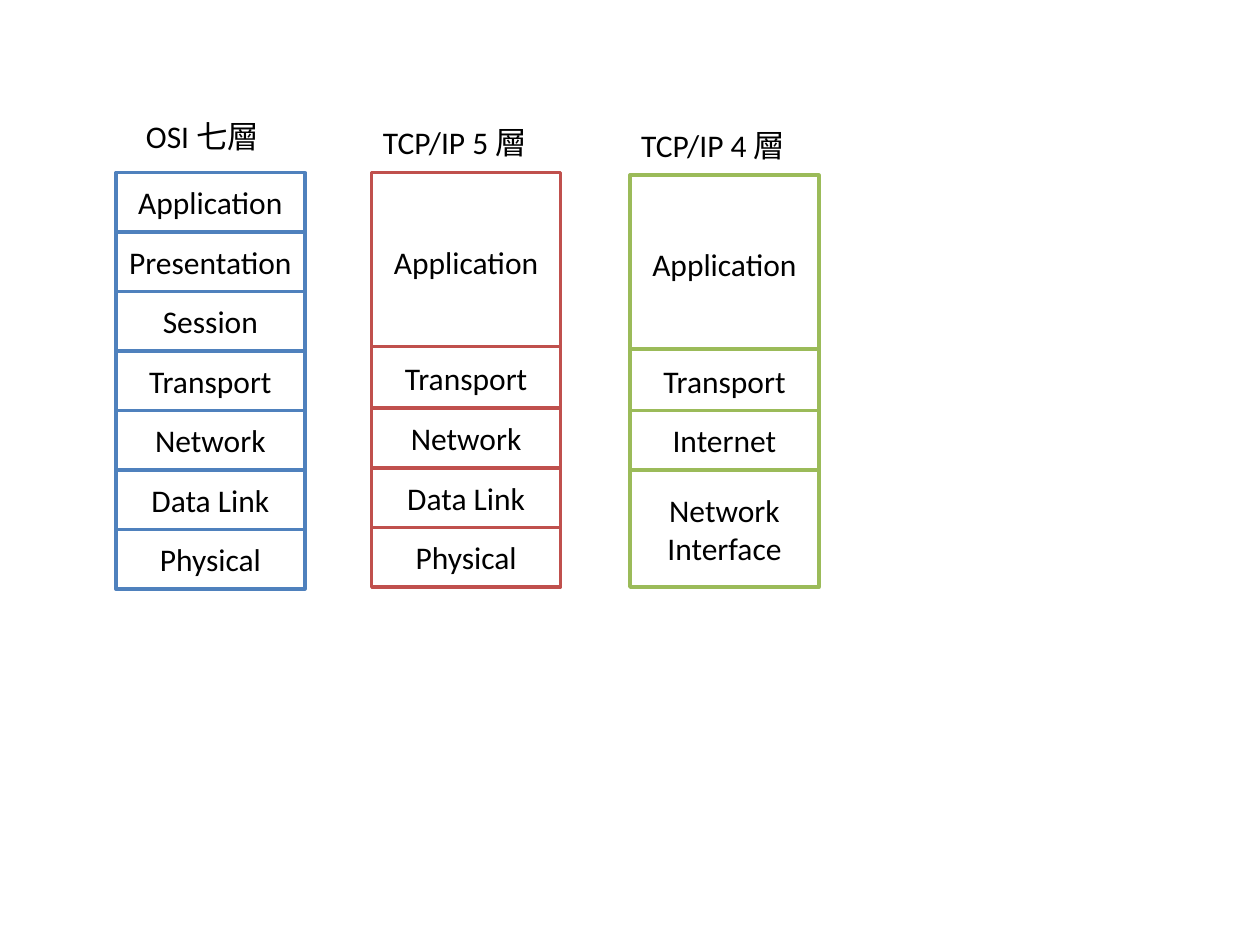
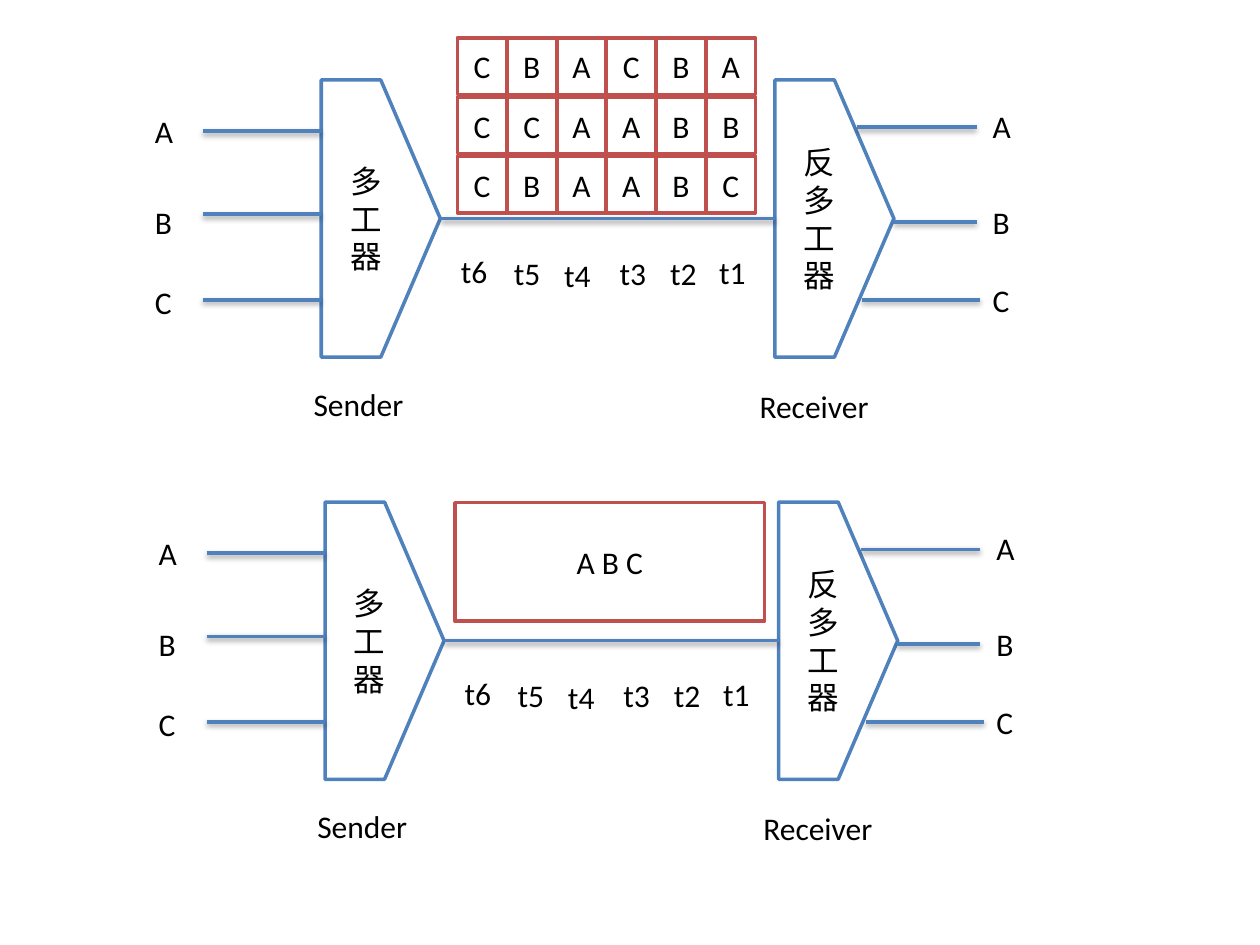
from lxml.etree import SubElement
from pptx import Presentation
from pptx.dml.color import RGBColor
from pptx.enum.shapes import MSO_CONNECTOR, MSO_SHAPE
from pptx.enum.text import MSO_ANCHOR, MSO_AUTO_SIZE, PP_ALIGN
from pptx.oxml.ns import qn
from pptx.util import Inches, Pt

COLORS = {
    "white": "FFFFFF",
    "black": "000000",
    "blue": "4F81BD",
    "red": "C0504D",
    "green": "9BBB59",
}
COLUMNS, ROWS = 100, 75


def color(name):
    return RGBColor.from_string(COLORS[name])


def write_text(frame, text, align=PP_ALIGN.LEFT, anchor=MSO_ANCHOR.TOP,
               size=18, font="Calibri", ink="black"):
    frame.word_wrap = True
    frame.vertical_anchor = anchor
    for index, line in enumerate(text.split("\n")):
        paragraph = frame.add_paragraph() if index else frame.paragraphs[0]
        paragraph.alignment = align
        run = paragraph.add_run()
        run.text = line
        run.font.size = Pt(size)
        run.font.name = font
        run.font.color.rgb = color(ink)


class Sketch:
    line_width = Pt(2)

    def __init__(self, presentation):
        self.presentation = presentation
        self.column = presentation.slide_width / COLUMNS
        self.row = presentation.slide_height / ROWS

    def new_slide(self):
        self.slide = self.presentation.slides.add_slide(self.presentation.slide_layouts[6])
        self.leave_group()

    def enter_group(self):
        self.shapes = self.slide.shapes.add_group_shape().shapes

    def leave_group(self):
        self.shapes = self.slide.shapes

    def lengths(self, *pairs):
        return [round(length) for x, y in pairs for length in (x * self.column, y * self.row)]

    def box(self, text, left, top, width, height, outline="blue", kind=MSO_SHAPE.RECTANGLE):
        shape = self.shapes.add_shape(kind, *self.lengths((left, top), (width, height)))
        shape.shadow.inherit = False
        shape.fill.solid()
        shape.fill.fore_color.rgb = color("white")
        shape.line.color.rgb = color(outline)
        shape.line.width = self.line_width
        write_text(shape.text_frame, text, align=PP_ALIGN.CENTER, anchor=MSO_ANCHOR.MIDDLE)
        return shape

    def label(self, text, left, top, width, height=4):
        text_box = self.shapes.add_textbox(*self.lengths((left, top), (width, height)))
        write_text(text_box.text_frame, text)
        text_box.text_frame.auto_size = MSO_AUTO_SIZE.SHAPE_TO_FIT_TEXT

    def wire(self, start, end):
        connector = self.shapes.add_connector(MSO_CONNECTOR.STRAIGHT, *self.lengths(start, end))
        connector.line.color.rgb = color("blue")
        connector.line.width = self.line_width
        effects = SubElement(connector._element.spPr, qn("a:effectLst"))
        shadow = SubElement(effects, qn("a:outerShdw"), blurRad="40000", dist="20000",
                            dir="5400000", rotWithShape="0")
        black = SubElement(shadow, qn("a:srgbClr"), val=COLORS["black"])
        SubElement(black, qn("a:alpha"), val="38000")
        return connector

    def stack(self, title, title_at, left, top, outline, layers):
        self.label(title, *title_at, 17.2)
        for name, step, overlap in layers:
            self.box(name, left, top, 15, step + overlap, outline)
            top += step


def draw_layer_models(sketch):
    sketch.new_slide()
    osi = ["Application", "Presentation", "Session", "Transport", "Network", "Data Link", "Physical"]
    upper = [("Application", 13.8, 0.3), ("Transport", 4.9, 0.1)]
    sketch.stack("OSI 七層", (10.6, 8.8), 9.2, 13.7, "blue",
                 [(name, 4.72, 0) for name in osi])
    sketch.stack("TCP/IP 5 層", (29.4, 9.3), 29.5, 13.7, "red",
                 upper + [(name, 4.73, 0) for name in osi[4:]])
    sketch.stack("TCP/IP 4 層", (49.9, 9.5), 50, 13.9, "green",
                 upper + [("Internet", 4.7, 0), ("Network\nInterface", 9.3, 0)])


def draw_link(sketch, across, down):
    sketch.enter_group()
    plate_top, plate_width, plate_height = down + 6.35, 9.45, 22
    multiplexer, demultiplexer = [
        sketch.box("\n".join(name), across + left, plate_top, plate_width, plate_height,
                   kind=MSO_SHAPE.PENTAGON)
        for name, left in (("多工器", 25.5), ("反多工器", 61.5))
    ]
    inputs = [("A", 10.4, 8.4), ("B", 17, 15.6), ("C", 23.8, 22)]
    for name, wire_y, label_y in inputs:
        sketch.wire((across + 16.1, down + wire_y), (across + 25.5, down + wire_y))
        sketch.label(name, across + 11.3, down + label_y, 3.9)
    outputs = [("A", 10.1, 68, 77.5, 8), ("B", 17.6, 70.9, 77.5, 15.6), ("C", 23.8, 68.4, 77.8, 21.8)]
    for name, wire_y, start, end, label_y in outputs:
        sketch.wire((across + start, down + wire_y), (across + end, down + wire_y))
        sketch.label(name, across + 77.8, down + label_y, 3.9)
    trunk_y = plate_top + plate_height / 2
    trunk = sketch.wire((across + 34.95, trunk_y), (across + 61.5, trunk_y))
    trunk.begin_connect(multiplexer, 3)
    trunk.end_connect(demultiplexer, 1)
    sketch.label("Sender", across + 23.9, down + 30.1, 9.4)
    sketch.label("Receiver", across + 59.3, down + 30.2, 14.9)
    times = [("t6", 35.6, 19.5), ("t5", 39.8, 19.7), ("t4", 43.8, 19.8),
             ("t3", 48.2, 19.7), ("t2", 52.2, 19.7), ("t1", 56.1, 19.6)]
    for name, left, top in times:
        sketch.label(name, across + left, down + top, 5.4)
    sketch.leave_group()


def draw_multiplexing(sketch):
    sketch.new_slide()
    draw_link(sketch, 0, 0)
    for row, slots in enumerate(["CBACBA", "CCAABB", "CBAABC"]):
        for column, source in enumerate(slots):
            sketch.box(source, 36.3 + 3.95 * column, 3 + 4.7 * row, 3.9, 4.5, "red")
    draw_link(sketch, 0.3, 33.5)
    sketch.box("A B C", 36.1, 39.9, 24.6, 9.4, "red")


def main():
    presentation = Presentation()
    presentation.slide_width = Inches(10)
    presentation.slide_height = Inches(7.5)
    sketch = Sketch(presentation)
    draw_layer_models(sketch)
    draw_multiplexing(sketch)
    presentation.save("out.pptx")


if __name__ == "__main__":
    main()
